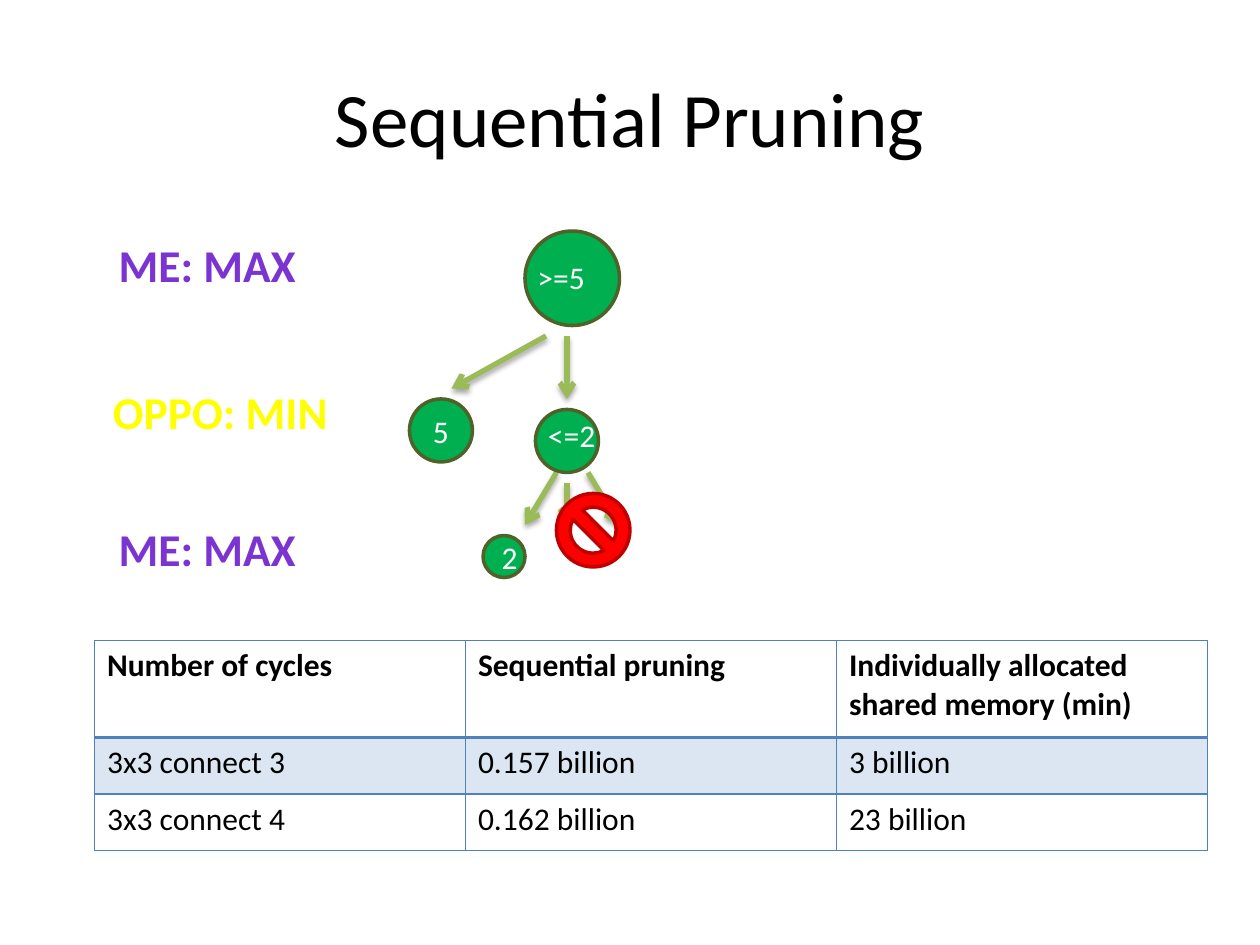
"""Build the Sequential Pruning slide: a game tree above a table of cycle counts."""
from lxml import etree
from pptx import Presentation
from pptx.dml.color import RGBColor
from pptx.enum.shapes import MSO_CONNECTOR, MSO_SHAPE
from pptx.enum.text import MSO_ANCHOR, MSO_AUTO_SIZE, PP_ALIGN
from pptx.oxml import parse_xml
from pptx.util import Inches, Pt

OVAL, BAN = MSO_SHAPE.OVAL, MSO_SHAPE.NO_SYMBOL
LINE = MSO_CONNECTOR.STRAIGHT
LEFT, MID = PP_ALIGN.LEFT, PP_ALIGN.CENTER
CENTRE, GROW = MSO_ANCHOR.MIDDLE, MSO_AUTO_SIZE.SHAPE_TO_FIT_TEXT
BLACK = RGBColor(0x00, 0x00, 0x00)
WHITE = RGBColor(0xFF, 0xFF, 0xFF)
GREEN = RGBColor(0x00, 0xB0, 0x50)
OLIVE = RGBColor(0x4F, 0x62, 0x28)
LIME = RGBColor(0x9B, 0xBB, 0x59)
RED = RGBColor(0xFF, 0x00, 0x00)
DARK = RGBColor(0xC0, 0x00, 0x00)
VIOLET = RGBColor(0x7B, 0x34, 0xD2)
YELLOW = RGBColor(0xFF, 0xFF, 0x00)
BLUE = RGBColor(0x4F, 0x81, 0xBD)
PALE = RGBColor(0xDC, 0xE6, 0xF2)
NS = "http://schemas.openxmlformats.org/drawingml/2006/main"
SHADE = (
    f'<a:effectLst xmlns:a="{NS}"><a:outerShdw blurRad="{Pt(3.1)}" dist="{Pt(1.8)}" '
    'dir="5400000" rotWithShape="0"><a:srgbClr val="000000"><a:alpha val="35000"/>'
    '</a:srgbClr></a:outerShdw></a:effectLst>'
)


def grid(*spots):
    return [Inches(spot / 12) for spot in spots]


def write(frame, text, size, color, bold=False, align=LEFT):
    para = frame.paragraphs[0]
    para.alignment = align
    run = para.add_run()
    run.text = text
    run.font.name = "Calibri"
    run.font.size = Pt(size)
    run.font.bold = bold
    run.font.color.rgb = color


deck = Presentation()
deck.slide_width, deck.slide_height = grid(120, 90)
slide = deck.slides.add_slide(deck.slide_layouts[5])
shapes = slide.shapes

title = shapes.title
title.left, title.top, title.width, title.height = grid(6, 3.6, 108, 15)
title.text_frame.vertical_anchor = CENTRE
write(title.text_frame, "Sequential Pruning", 44, BLACK, align=MID)

for ends in [(56, 45, 59, 50), (53, 45, 50, 50), (54, 32, 54, 38),
             (52, 32, 43, 37), (54, 46, 54, 50)]:
    arrow = shapes.add_connector(LINE, *grid(*ends))
    arrow.line.color.rgb = LIME
    arrow.line.width = Pt(3)
    props = arrow.line._get_or_add_ln()
    etree.SubElement(props, f"{{{NS}}}tailEnd", type="arrow")
    arrow._element.spPr.append(parse_xml(SHADE))

for kind, x, y, side, text, fill, edge in [
    (OVAL, 50, 22, 9, "", GREEN, OLIVE),
    (OVAL, 39, 38, 6, "5", GREEN, OLIVE),
    (OVAL, 51, 39, 6, "", GREEN, OLIVE),
    (OVAL, 46, 51, 4, "2", GREEN, OLIVE),
    (BAN, 53, 47, 7, "", RED, DARK),
]:
    node = shapes.add_shape(kind, *grid(x, y, side, side))
    node.shadow.inherit = False
    node.fill.solid()
    node.fill.fore_color.rgb = fill
    node.line.color.rgb = edge
    node.line.width = Pt(2)
    if text:
        node.text_frame.vertical_anchor = CENTRE
        write(node.text_frame, text, 18, WHITE, align=MID)

for x, y, wide, high, text, size, color, bold, align, wrap in [
    (10, 22, 19.5, 6.5, "ME: MAX", 26, VIOLET, True, MID, False),
    (9, 36, 24, 6.5, "OPPO: MIN", 26, YELLOW, True, MID, True),
    (10, 49, 19.5, 6.5, "ME: MAX", 26, VIOLET, True, MID, False),
    (51, 39, 9, 4.8, "<=2", 18, WHITE, False, LEFT, True),
    (50, 24, 10, 4.8, ">=5", 18, WHITE, False, LEFT, True),
]:
    label = shapes.add_textbox(*grid(x, y, wide, high)).text_frame
    label.word_wrap = wrap
    label.auto_size = GROW
    write(label, text, size, color, bold, align)

rows = [
    ("Number of cycles", "Sequential pruning", "Individually allocated shared memory (min)"),
    ("3x3 connect 3", "0.157 billion", "3 billion"),
    ("3x3 connect 4", "0.162 billion", "23 billion"),
]
table = shapes.add_table(3, 3, *grid(9, 61, 106, 20)).table
table.first_row = table.horz_banding = False
for row, high in zip(table.rows, grid(9.2, 5.4, 5.4)):
    row.height = high
for r, row in enumerate(rows):
    for c, text in enumerate(row):
        cell = table.cell(r, c)
        write(cell.text_frame, text, 18, BLACK, bold=r == 0)
        props = cell._tc.get_or_add_tcPr()
        for side in "LRTB":
            thick = 2 if (r, side) in [(0, "B"), (1, "T")] else 1
            props.append(parse_xml(
                f'<a:ln{side} xmlns:a="{NS}" w="{Pt(thick)}"><a:solidFill>'
                f'<a:srgbClr val="{BLUE}"/></a:solidFill></a:ln{side}>'))
        if r == 1:
            cell.fill.solid()
            cell.fill.fore_color.rgb = PALE
        else:
            cell.fill.background()

deck.save("out.pptx")
